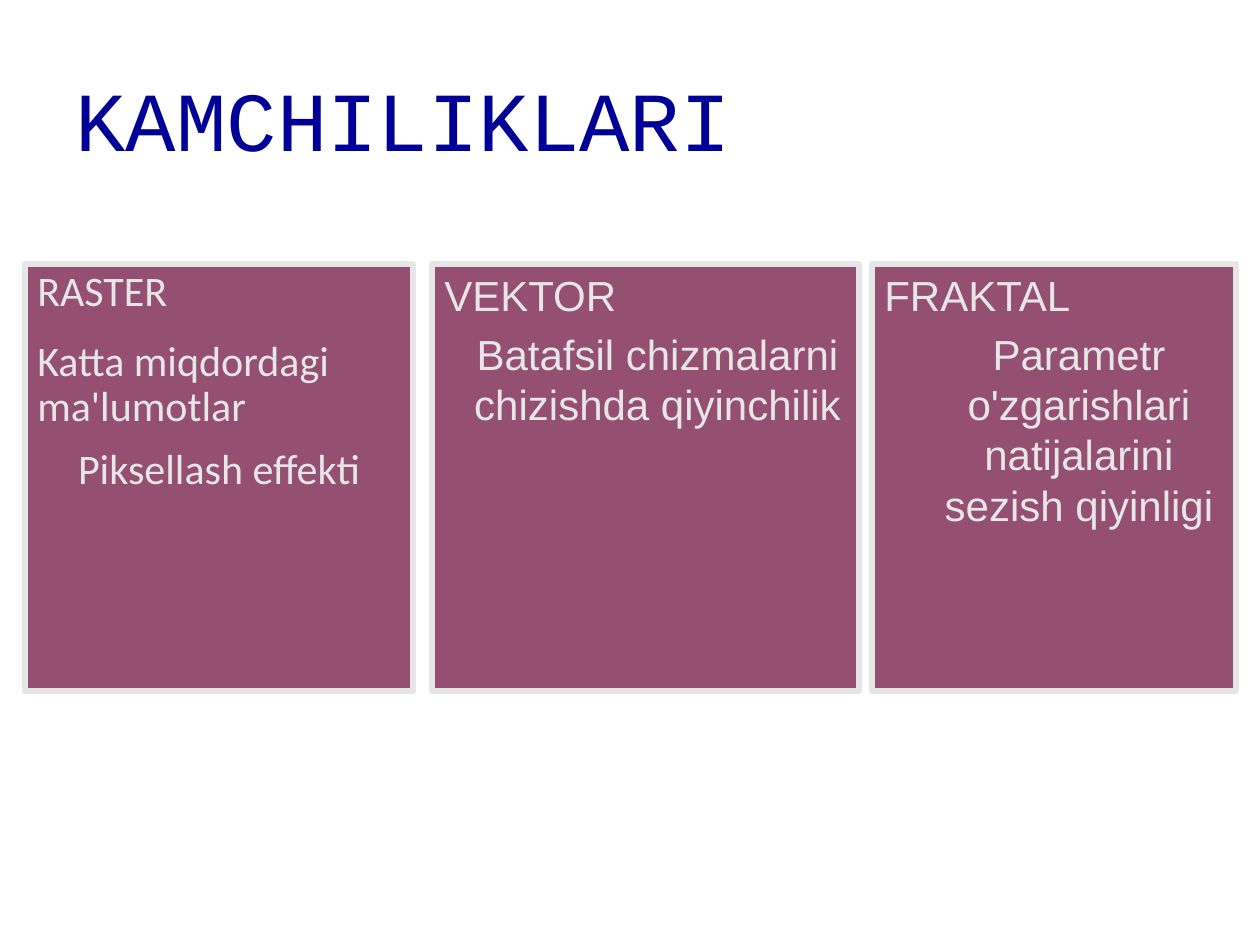
from pptx import Presentation
from pptx.dml.color import RGBColor
from pptx.enum.shapes import MSO_SHAPE
from pptx.enum.text import MSO_ANCHOR, PP_ALIGN
from pptx.util import Emu, Pt

TITLE = "KAMCHILIKLARI"
LEFT, CENTER = PP_ALIGN.LEFT, PP_ALIGN.CENTER
CARDS = [
    {"left": 25, "width": 388, "font": "Calibri", "spacing": 0.9, "indent": 0,
     "lines": [("RASTER", LEFT, 0),
               ("Katta miqdordagi ma'lumotlar", LEFT, 14),
               ("Piksellash effekti", CENTER, 10)]},
    {"left": 432, "width": 427, "font": "Arial", "spacing": Pt(28.7), "indent": 24,
     "lines": [("VEKTOR", LEFT, 0),
               ("Batafsil chizmalarni chizishda qiyinchilik", CENTER, 4.8)]},
    {"left": 872, "width": 364, "font": "Arial", "spacing": Pt(28.7), "indent": 50,
     "lines": [("FRAKTAL", LEFT, 0),
               ("Parametr o'zgarishlari natijalarini sezish qiyinligi", CENTER, 4.8)]},
]
CARD_TOP, CARD_HEIGHT = 264, 427
PLUM, PALE, NAVY = "954F72", "E7E6E6", "000099"


def px(count):
    return Emu(round(count * 914400 / 126))


def color(value):
    return RGBColor.from_string(value)


def style(paragraph, font, size, tint, align, spacing):
    paragraph.alignment = align
    paragraph.line_spacing = spacing
    for span in paragraph.runs:
        span.font.name = font
        span.font.size = Pt(size)
        span.font.color.rgb = color(tint)


def add_title(page):
    title = page.shapes.title
    title.left, title.top, title.width, title.height = map(px, (63, 63, 1134, 122))
    frame = title.text_frame
    frame.text = TITLE
    frame.vertical_anchor = MSO_ANCHOR.MIDDLE
    style(frame.paragraphs[0], "Courier New", 48, NAVY, LEFT, 0.9)


def add_card(page, card):
    box = page.shapes.add_shape(MSO_SHAPE.RECTANGLE, px(card["left"]), px(CARD_TOP),
                                px(card["width"]), px(CARD_HEIGHT))
    box.shadow.inherit = False
    box.fill.solid()
    box.fill.fore_color.rgb = color(PLUM)
    box.line.color.rgb = color(PALE)
    box.line.width = Pt(3)
    frame = box.text_frame
    frame.word_wrap = True
    frame.vertical_anchor = MSO_ANCHOR.TOP
    frame.text = "\n".join(text for text, _, _ in card["lines"])
    for paragraph, (_, align, before) in zip(frame.paragraphs, card["lines"]):
        style(paragraph, card["font"], 24, PALE, align, card["spacing"])
        paragraph.space_before = Pt(before)
        if align == CENTER:
            paragraph._p.get_or_add_pPr().set("marL", str(px(card["indent"])))


def main():
    deck = Presentation()
    deck.slide_width, deck.slide_height = px(1260), px(945)
    page = deck.slides.add_slide(deck.slide_layouts[5])
    add_title(page)
    for card in CARDS:
        add_card(page, card)
    deck.save("out.pptx")


if __name__ == "__main__":
    main()
